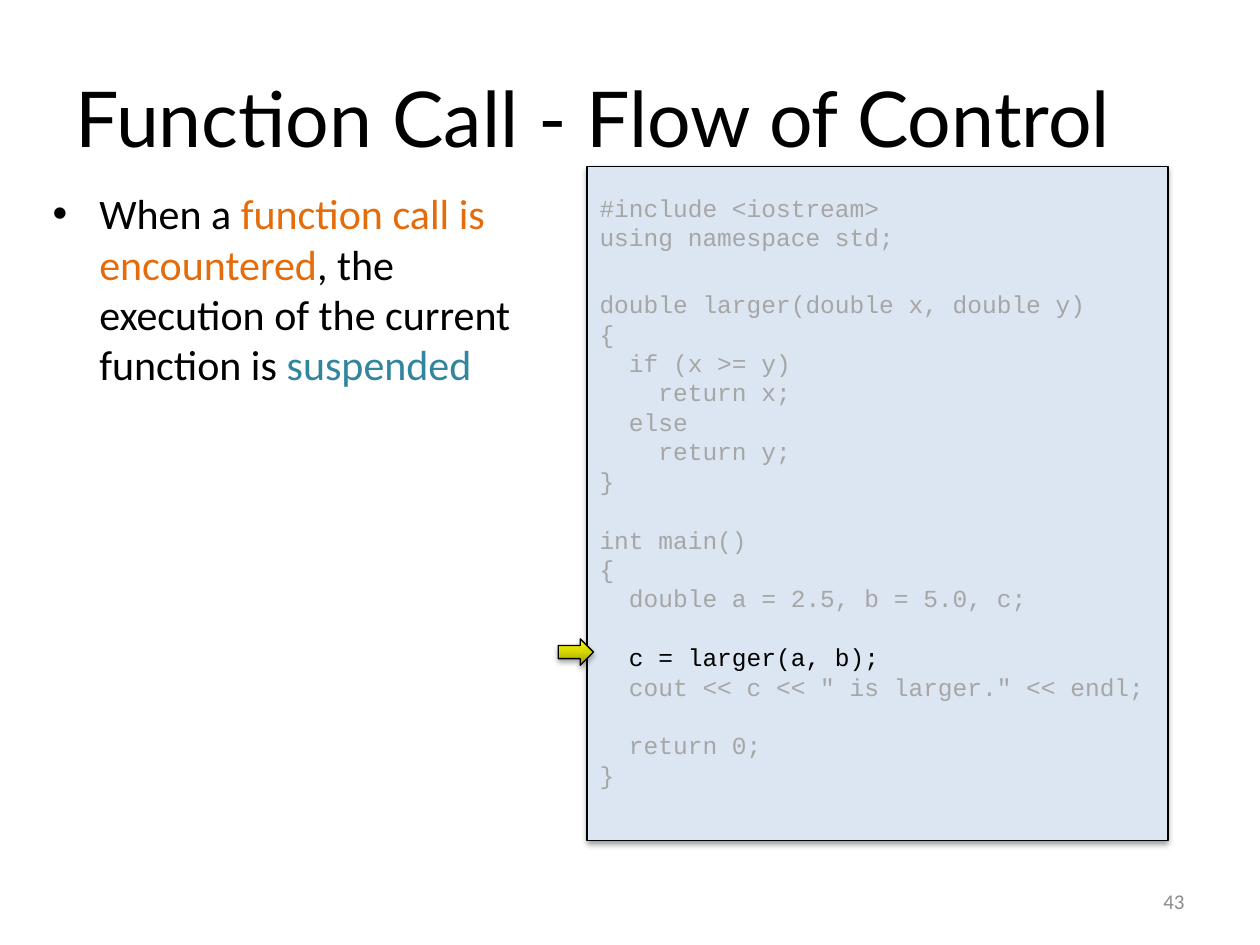
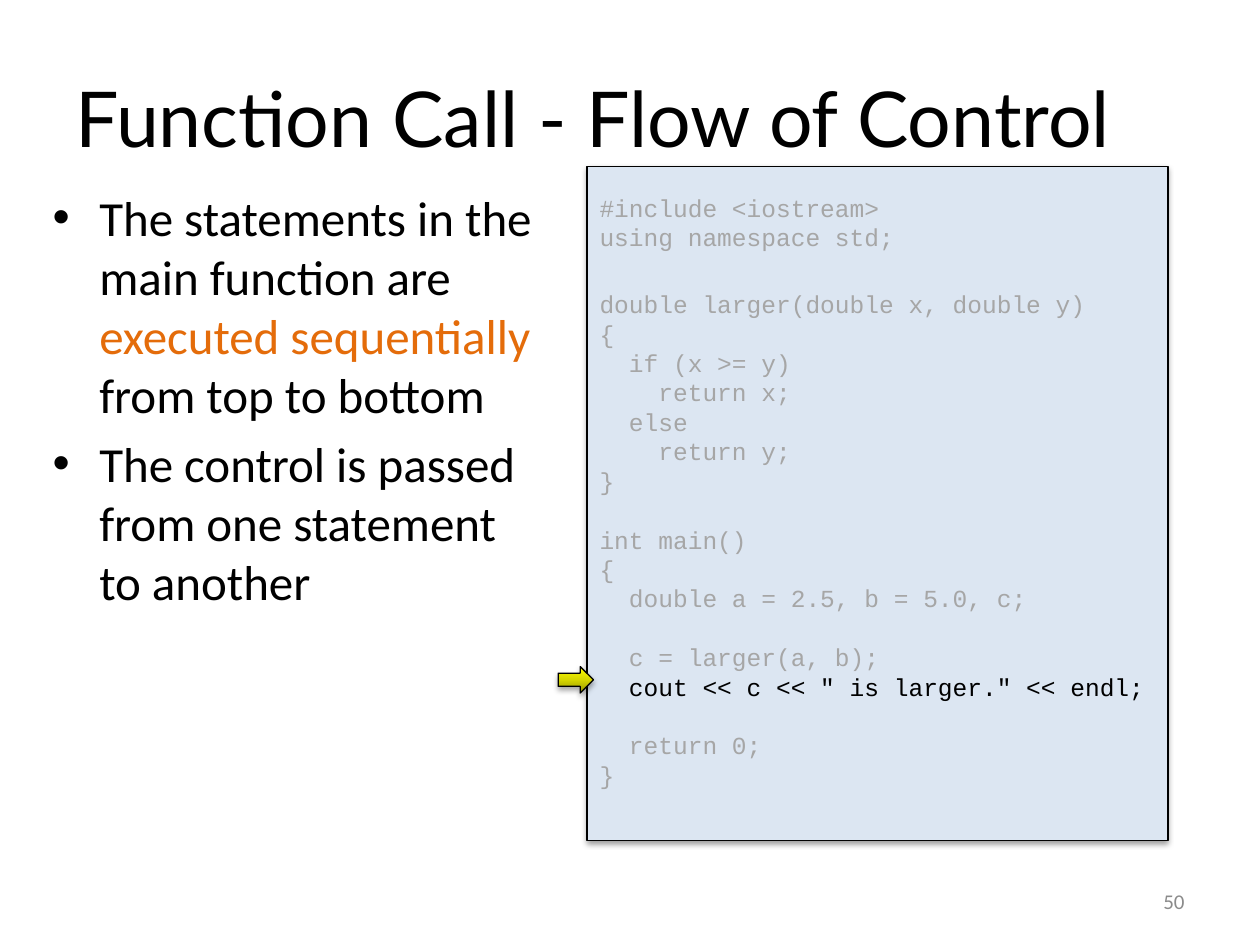
from copy import deepcopy
from dataclasses import dataclass

from lxml.etree import SubElement
from pptx import Presentation
from pptx.dml.color import RGBColor
from pptx.enum.shapes import MSO_SHAPE
from pptx.enum.text import MSO_ANCHOR, PP_ALIGN
from pptx.oxml.ns import qn
from pptx.util import Inches, Pt


@dataclass(frozen=True)
class Theme:
    ink: str = "000000"
    accent: str = "E46C0A"
    teal: str = "31859C"
    panel: str = "DCE6F2"
    faded: str = "A6A6A6"
    footer: str = "8B8B8B"
    glow: tuple = ("979700", "D6D600", "FFFF00")
    head: str = "Lato"
    body: str = "Calibri"
    mono: str = "Courier New"
    title_size: int = 44
    code_size: int = 14
    foot_size: int = 12
    line: float = 0.75
    pitch: float = 16.8
    break_gap: float = 21.5


THEME = Theme()
WIDTH, HEIGHT = Inches(10), Inches(7.5)
COL, ROW = WIDTH / 10, HEIGHT / 7.5

TITLE = "Function Call - Flow of Control"
CODE = """\
#include <iostream>
using namespace std;

double larger(double x, double y)
{
  if (x >= y)
    return x;
  else
    return y;
}

int main()
{
  double a = 2.5, b = 5.0, c;

  c = larger(a, b);
  cout << c << " is larger." << endl;

  return 0;
}""".split("\n")

CALL = [[("When a ", THEME.ink),
         ("function call is encountered", THEME.accent),
         (", the execution of the current function is ", THEME.ink),
         ("suspended", THEME.teal)]]
ORDER = [[("The statements in the main function are ", THEME.ink),
          ("executed sequentially ", THEME.accent),
          ("from top to bottom", THEME.ink)],
         [("The control is passed from one statement to another", THEME.ink)]]


def place(col, row, wide, high):
    return [round(n) for n in (col * COL, row * ROW, wide * COL, high * ROW)]


def paint(color):
    return RGBColor.from_string(color)


def add_run(para, text, font, size, color):
    run = para.add_run()
    run.text = text
    run.font.name, run.font.size = font, Pt(size)
    run.font.color.rgb = paint(color)


def add_box(slide, spot, anchor=MSO_ANCHOR.MIDDLE):
    frame = slide.shapes.add_textbox(*spot).text_frame
    frame.word_wrap = True
    frame.vertical_anchor = anchor
    return frame


def next_para(frame, index):
    return frame.add_paragraph() if index else frame.paragraphs[0]


def add_line(slide, spot, text, font, size, color, align=PP_ALIGN.LEFT):
    para = add_box(slide, spot).paragraphs[0]
    para.alignment = align
    add_run(para, text, font, size, color)


def add_points(slide, points, size):
    frame = add_box(slide, place(0.31, 1.44, 4.06, 5.37), MSO_ANCHOR.TOP)
    for index, point in enumerate(points):
        para = next_para(frame, index)
        props = para._p.get_or_add_pPr()
        props.set("marL", str(Inches(0.38)))
        props.set("indent", str(-Inches(0.37)))
        tint = SubElement(props, qn("a:buClr"))
        SubElement(tint, qn("a:srgbClr"), val=THEME.ink)
        SubElement(props, qn("a:buFont"), typeface="Arial")
        SubElement(props, qn("a:buChar"), char="•")
        para.space_before = Pt(6 if index else 0)
        for text, color in point:
            add_run(para, text, THEME.body, size, color)


def add_shape(slide, kind, spot, drop, alpha):
    """Add an outlined shape with a soft shadow that falls straight down."""
    shape = slide.shapes.add_shape(kind, *spot)
    shape.line.color.rgb = paint(THEME.ink)
    shape.line.width = Pt(THEME.line)
    shape.shadow.inherit = False
    effects = shape._element.spPr.find(qn("a:effectLst"))
    shade = SubElement(effects, qn("a:outerShdw"), blurRad=str(Pt(3.1)),
                       dist=str(Pt(drop)), dir="5400000", rotWithShape="0")
    tint = SubElement(shade, qn("a:srgbClr"), val=THEME.ink)
    SubElement(tint, qn("a:alpha"), val=str(alpha * 1000))
    return shape


def add_code(slide, active):
    panel = add_shape(slide, MSO_SHAPE.RECTANGLE,
                      place(4.66, 1.32, 4.61, 5.35), 1.6, 38)
    panel.fill.solid()
    panel.fill.fore_color.rgb = paint(THEME.panel)
    frame = panel.text_frame
    frame.word_wrap = True
    frame.vertical_anchor = MSO_ANCHOR.TOP
    frame.margin_top = round(0.21 * ROW)
    gaps = 0
    for index, text in enumerate(CODE):
        if not text:
            gaps += 1
            continue
        para = next_para(frame, index)
        para.alignment = PP_ALIGN.LEFT
        para.line_spacing = Pt(THEME.pitch)
        if index and not CODE[index - 1]:
            para.space_before = Pt(THEME.break_gap if gaps == 1
                                   else THEME.pitch)
        color = THEME.ink if index == active else THEME.faded
        add_run(para, text, THEME.mono, THEME.code_size, color)


def add_arrow(slide, active):
    arrow = add_shape(slide, MSO_SHAPE.RIGHT_ARROW,
                      place(4.43, 1.77 + 0.22 * active, 0.28, 0.21), 1.8, 35)
    fill = arrow.fill
    fill.gradient()
    fill.gradient_angle = 90
    stops = arrow._element.spPr.find(qn("a:gradFill")).find(qn("a:gsLst"))
    stops.insert(1, deepcopy(stops[0]))
    for index, color in enumerate(THEME.glow):
        stop = fill.gradient_stops[index]
        stop.position = index / 2
        stop.color.rgb = paint(color)


def add_slide(deck, points, size, active, number):
    slide = deck.slides.add_slide(deck.slide_layouts[6])
    add_line(slide, place(0.5, 0.3, 9, 1.25), TITLE,
             THEME.head, THEME.title_size, THEME.ink)
    add_points(slide, points, size)
    add_code(slide, active)
    add_arrow(slide, active)
    add_line(slide, place(7.17, 6.95, 2.33, 0.4), number,
             THEME.body, THEME.foot_size, THEME.footer, PP_ALIGN.RIGHT)


def main():
    deck = Presentation()
    deck.slide_width, deck.slide_height = WIDTH, HEIGHT
    call = CODE.index("  c = larger(a, b);")
    add_slide(deck, CALL, 24, call, "43")
    add_slide(deck, ORDER, 28, call + 1, "50")
    deck.save("out.pptx")


if __name__ == "__main__":
    main()
